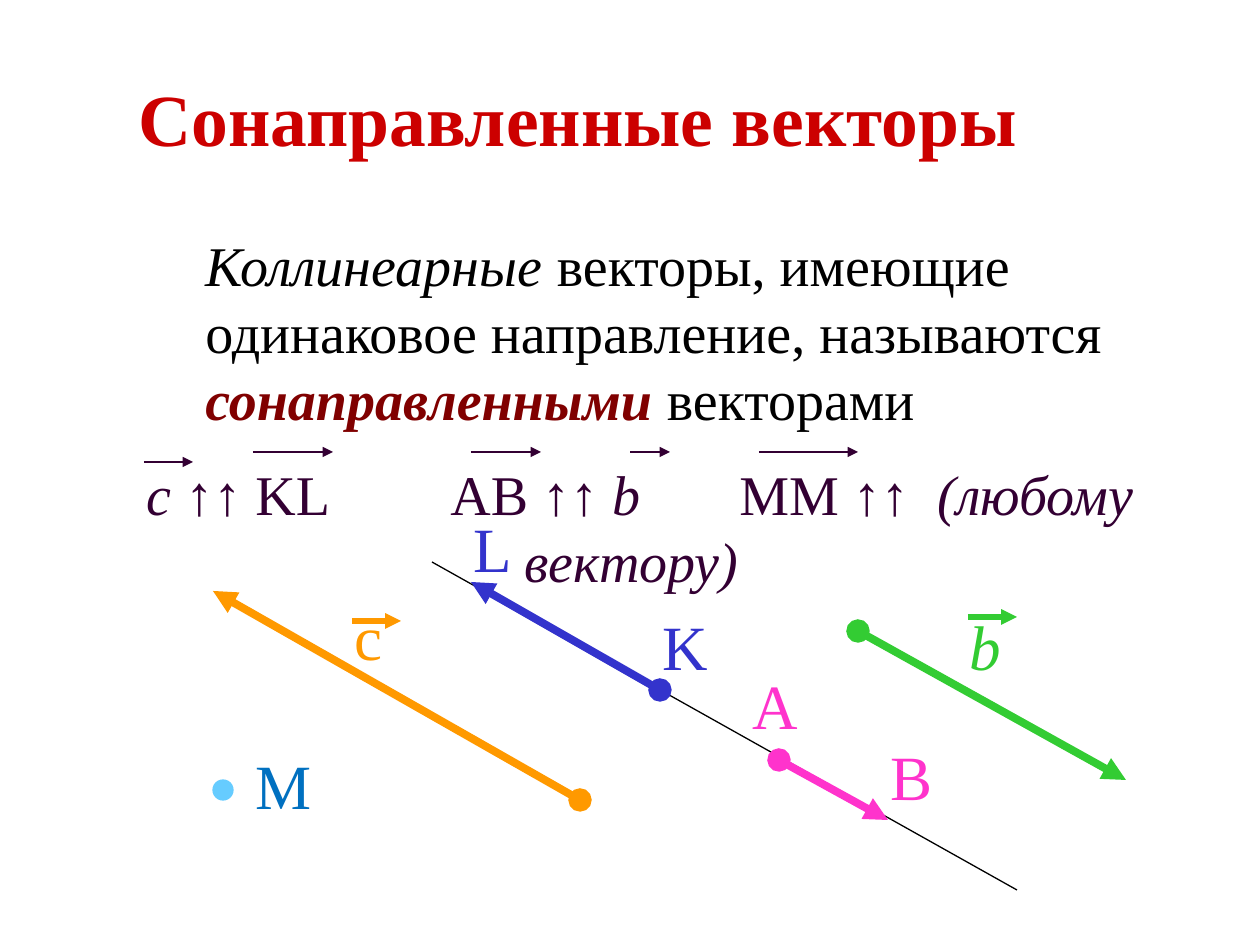
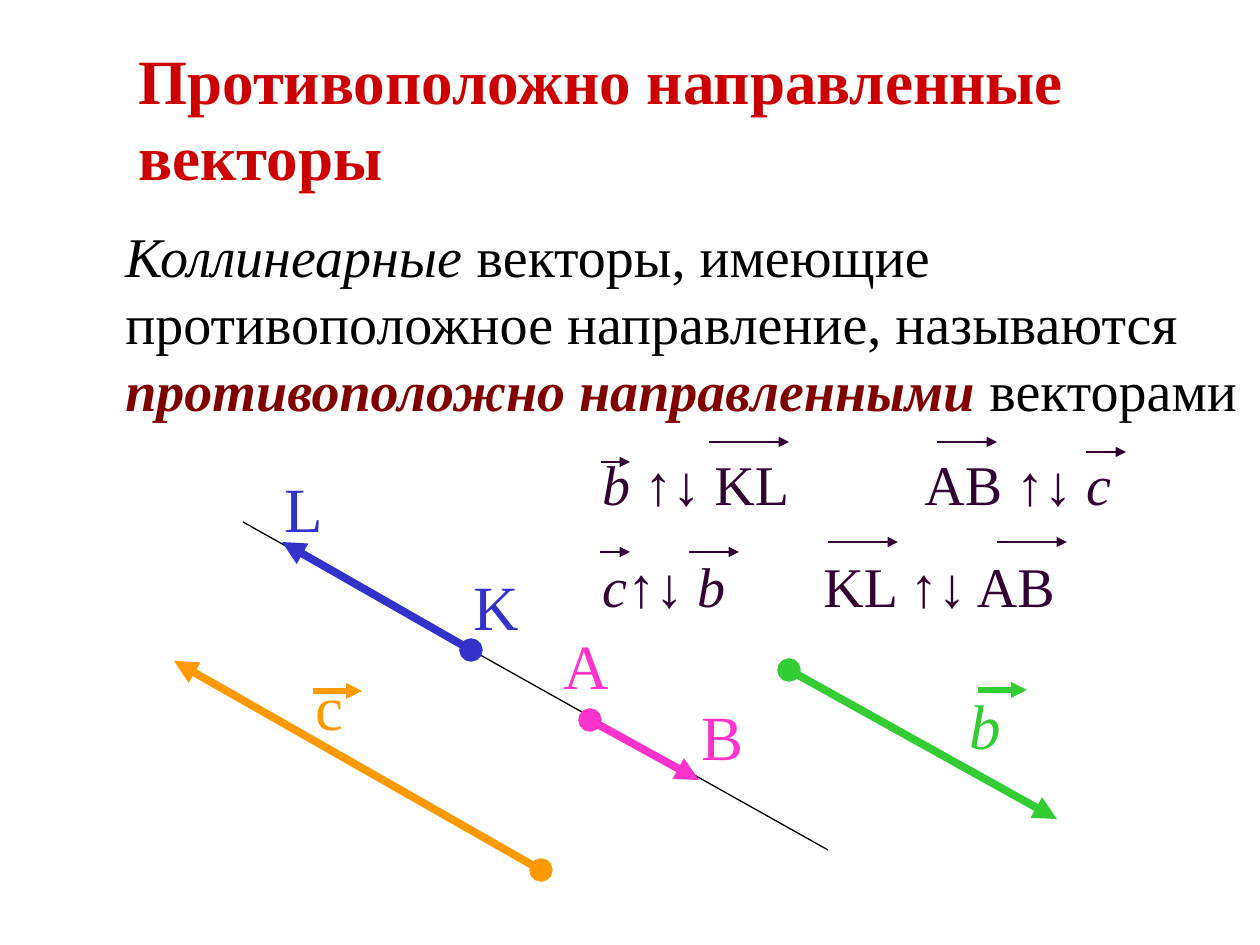
from lxml import etree
from pptx import Presentation
from pptx.dml.color import RGBColor
from pptx.enum.shapes import MSO_CONNECTOR, MSO_SHAPE
from pptx.enum.text import MSO_ANCHOR
from pptx.oxml.ns import qn
from pptx.util import Pt

STRAIGHT = MSO_CONNECTOR.STRAIGHT
ELLIPSE = MSO_SHAPE.OVAL
TOP = MSO_ANCHOR.TOP
MIDDLE = MSO_ANCHOR.MIDDLE

EMU_PER_PX = 914400 / 126
FONT = "Times New Roman"
RED, MAROON, BLACK, PLUM = "CC0000", "800000", "000000", "330033"
ORANGE, GREEN, BLUE, PINK = "FF9900", "33CC33", "3333CC", "FF33CC"
SKY, POINT_BLUE = "66CCFF", "0070C0"


def emu(px):
    return round(px * EMU_PER_PX)


def rgb(value):
    return RGBColor.from_string(value)


class VectorDeck:
    def __init__(self):
        self.prs = Presentation()
        self.prs.slide_width, self.prs.slide_height = emu(1260), emu(945)
        self.slide = None

    def new_slide(self):
        self.slide = self.prs.slides.add_slide(self.prs.slide_layouts[6])

    def text(self, box, runs, size, anchor=TOP):
        frame = self.slide.shapes.add_textbox(*map(emu, box)).text_frame
        frame.word_wrap = True
        frame.vertical_anchor = anchor
        for words, color, style in runs:
            run = frame.paragraphs[0].add_run()
            run.text = words
            run.font.name = FONT
            run.font.size = Pt(size)
            run.font.color.rgb = rgb(color)
            run.font.bold = "b" in style
            run.font.italic = "i" in style

    def title(self, words, size):
        self.text((126, 38, 1071, 158), [(words, RED, "b")], size, MIDDLE)

    def definition(self, box, middle, term):
        runs = [("Коллинеарные", BLACK, "i"), (f" векторы, имеющие {middle}, называются ", BLACK, ""),
                (term, MAROON, "bi"), (" векторами", BLACK, "")]
        self.text(box, runs, 32)

    def formula(self, x, y, *runs):
        self.text((x, y, 320, 80), [(words, PLUM, style) for words, style in runs], 32)

    def formula_arrows(self, *arrows):
        for left, right, y in arrows:
            self.line((left, y), (right, y), PLUM, 0.75, end="triangle")

    def label(self, x, y, letter, color, style=""):
        self.text((x, y, 79, 88), [(letter, color, style)], 36)

    def line(self, start, finish, color, width, begin=None, end=None):
        connector = self.slide.shapes.add_connector(STRAIGHT, *map(emu, start + finish))
        connector.line.color.rgb = rgb(color)
        connector.line.width = Pt(width)
        outline = connector.line._ln
        for tag, kind in (("a:headEnd", begin), ("a:tailEnd", end)):
            if kind:
                etree.SubElement(outline, qn(tag), type=kind)
        etree.SubElement(connector._element.spPr, qn("a:effectLst"))

    def vector(self, origin, tip, color):
        self.line(origin, tip, color, 4.5, "oval", "triangle")

    def named_vector(self, origin, tip, color, letter, style, letter_at, bar_at):
        self.vector(origin, tip, color)
        self.label(*letter_at, letter, color, style)
        x, y = bar_at
        self.line((x, y), (x + 49, y), color, 3, end="triangle")

    def vector_c(self, x, y):
        self.named_vector((x + 367, y + 209), (x, y), ORANGE, "с", "",
                          (x + 129, y), (x + 139, y + 30))

    def vector_b(self, x, y, letter_at, bar_at):
        self.named_vector((x, y), (x + 268, y + 149), GREEN, "b", "i", letter_at, bar_at)

    def shared_axis(self, x, y):
        def at(dx, dy):
            return x + dx, y + dy

        self.line(at(0, 0), at(585, 328), BLACK, 0.75)
        self.vector(at(228, 128), at(39, 20), BLUE)
        self.vector(at(347, 198), at(456, 258), PINK)
        for letter, color, offset in (("L", BLUE, (29, -59)), ("K", BLUE, (218, 39)),
                                      ("A", PINK, (308, 98)), ("B", PINK, (446, 169))):
            self.label(*at(*offset), letter, color)

    def point(self, x, y, size, color):
        dot = self.slide.shapes.add_shape(ELLIPSE, *map(emu, (x, y, size, size)))
        dot.shadow.inherit = False
        dot.fill.solid()
        dot.fill.fore_color.rgb = rgb(color)
        dot.line.color.rgb = rgb(color)
        dot.line.width = Pt(0.75)


def codirectional(deck):
    deck.new_slide()
    deck.vector_c(213, 591)
    deck.shared_axis(432, 562)
    deck.vector_b(858, 631, (957, 601), (968, 617))
    deck.title("Сонаправленные векторы", 42)
    deck.definition((193, 224, 953, 214), "одинаковое направление", "сонаправленными")
    deck.point(213, 780, 20, SKY)
    deck.label(243, 740, "М", POINT_BLUE)
    row, next_row = 453, 520
    deck.formula(134, row, ("c ", "i"), ("↑↑ KL", ""))
    deck.formula(438, row, ("AB ↑↑", ""), (" b", "i"))
    deck.formula(727, row, ("MM ↑↑", ""))
    deck.formula(925, row, ("(любому", "i"))
    deck.formula(512, next_row, ("вектору)", "i"))
    deck.formula_arrows((144, 193, 462), (253, 333, 452), (471, 541, 452),
                        (630, 670, 452), (759, 858, 452))


def opposite(deck):
    deck.new_slide()
    deck.vector_c(174, 661)
    deck.vector_b(789, 670, (957, 680), (978, 690))
    deck.shared_axis(243, 522)
    deck.title("Противоположно направленные векторы", 36)
    deck.definition((113, 215, 1147, 214), "противоположное направление",
                    "противоположно направленными")
    row, next_row = 443, 545
    deck.formula(590, row, ("b ", "i"), ("↑↓ KL", ""))
    deck.formula(912, row, ("AB ↑↓", ""), (" c", "i"))
    deck.formula(590, next_row, ("c", "i"), ("↑↓ ", ""), ("b", "i"))
    deck.formula(811, next_row, ("KL ↑↓ AB", ""))
    deck.formula_arrows((601, 630, 462), (709, 789, 442), (937, 997, 442), (1086, 1126, 452),
                        (600, 630, 552), (689, 739, 552), (828, 898, 542), (997, 1067, 542))


def main():
    deck = VectorDeck()
    codirectional(deck)
    opposite(deck)
    deck.prs.save("out.pptx")


if __name__ == "__main__":
    main()
